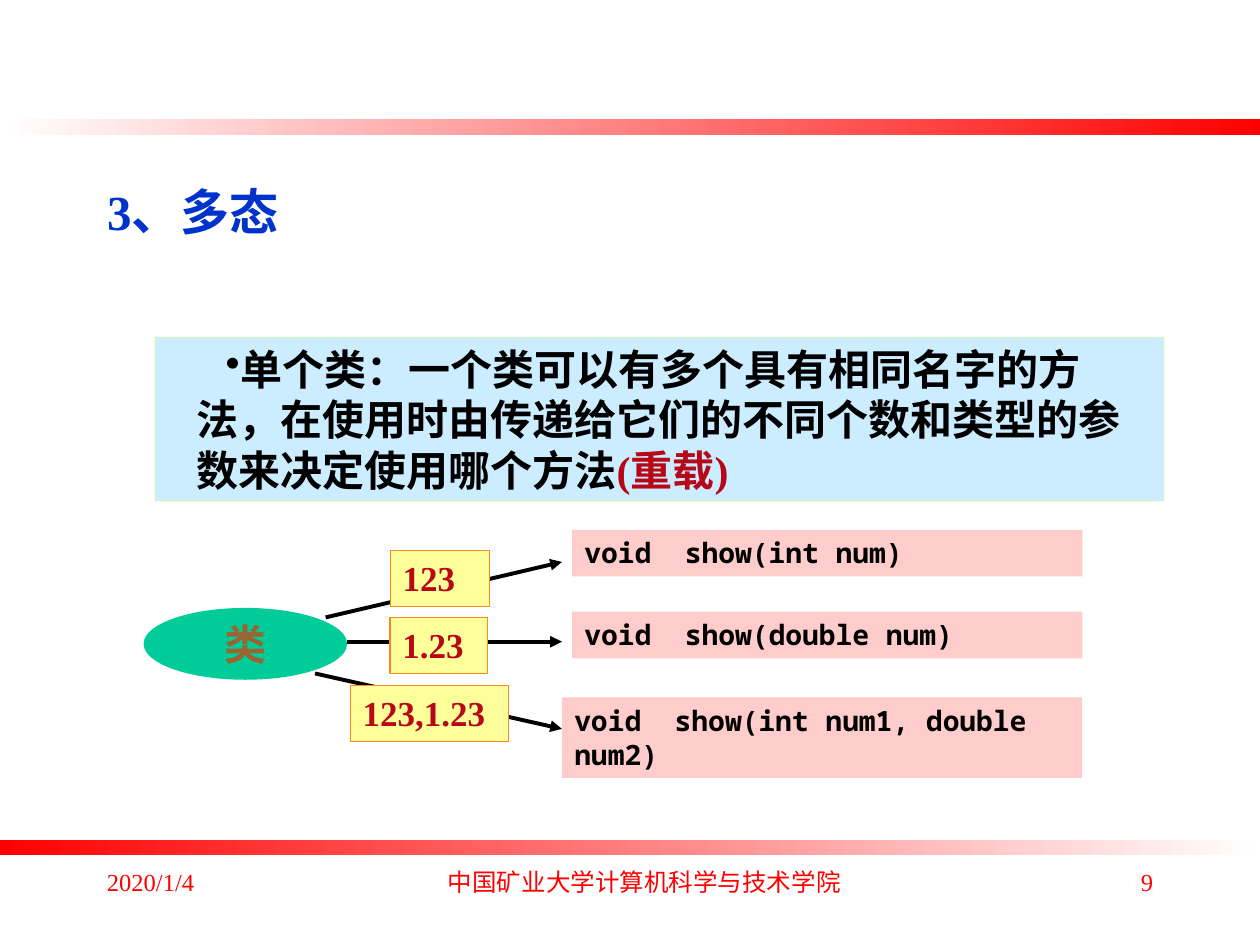
from dataclasses import dataclass

from lxml.etree import SubElement
from pptx import Presentation
from pptx.dml.color import RGBColor
from pptx.enum.shapes import MSO_CONNECTOR, MSO_SHAPE
from pptx.enum.text import MSO_ANCHOR, PP_ALIGN
from pptx.oxml.ns import qn
from pptx.util import Emu, Inches, Pt

# The slide is a grid of 100 columns by 75 rows
COLUMNS, ROWS = 100, 75
WIDTH, HEIGHT = Inches(10), Inches(7.5)

COLORS = {
    "white": "FFFFFF", "red": "FF0000", "black": "000000", "title": "0033CC",
    "panel": "CCECFF", "panel_line": "FFFFCC", "ellipse": "00CC99",
    "class_text": "996633", "method": "FFCCCC", "argument": "FFFF99",
    "argument_line": "FB881F", "accent": "B60819",
}
SERIF, SANS, MONO = "Times New Roman", "Noto Sans CJK SC", "Noto Sans Mono"


@dataclass
class Area:
    column: float
    row: float
    columns: float
    rows: float

    def place(self) -> tuple:
        return (across(self.column), down(self.row),
                across(self.columns), down(self.rows))


@dataclass
class Style:
    size: float
    color: str
    font: str = SERIF
    bold: bool = True


@dataclass
class Label:
    text: str
    area: Area


@dataclass
class Arrow:
    start: tuple
    end: tuple


def across(columns: float) -> Emu:
    return Emu(round(WIDTH * columns / COLUMNS))


def down(rows: float) -> Emu:
    return Emu(round(HEIGHT * rows / ROWS))


def rgb(name: str) -> RGBColor:
    return RGBColor.from_string(COLORS[name])


def add_run(paragraph, text: str, style: Style) -> None:
    run = paragraph.add_run()
    run.text = text
    font = run.font
    font.size, font.bold, font.name = Pt(style.size), style.bold, style.font
    font.color.rgb = rgb(style.color)
    east_asian = SubElement(run._r.get_or_add_rPr(), qn("a:ea"))
    east_asian.set("typeface", SANS)


def write(shape, text: str, style: Style, align=PP_ALIGN.LEFT,
          anchor=MSO_ANCHOR.TOP, wrap: bool = True):
    frame = shape.text_frame
    frame.word_wrap, frame.vertical_anchor = wrap, anchor
    paragraph = frame.paragraphs[0]
    paragraph.alignment = align
    add_run(paragraph, text, style)
    return paragraph


def add_block(slide, area: Area, fill: str, line: str = "",
              kind=MSO_SHAPE.RECTANGLE):
    shape = slide.shapes.add_shape(kind, *area.place())
    shape.shadow.inherit = False
    shape.fill.solid()
    shape.fill.fore_color.rgb = rgb(fill)
    if line:
        shape.line.color.rgb = rgb(line)
        shape.line.width = Pt(0.75)
    else:
        shape.line.fill.background()
    return shape


def add_bar(slide, row: float, colors: tuple) -> None:
    bar = add_block(slide, Area(0, row, COLUMNS, 1.25), "red")
    bar.fill.gradient()
    bar.fill.gradient_angle = 0
    for stop, color in zip(bar.fill.gradient_stops, colors):
        stop.color.rgb = rgb(color)


def add_arrow(slide, arrow: Arrow) -> None:
    (x1, y1), (x2, y2) = arrow.start, arrow.end
    connector = slide.shapes.add_connector(
        MSO_CONNECTOR.STRAIGHT, across(x1), down(y1), across(x2), down(y2))
    connector.line.color.rgb = rgb("black")
    connector.line.width = Pt(2.25)
    SubElement(connector.line._get_or_add_ln(), qn("a:tailEnd"), type="triangle")
    SubElement(connector._element.spPr, qn("a:effectLst"))


def add_definition(slide) -> None:
    panel = add_block(slide, Area(12.25, 26.7, 80.2, 13.1), "panel", "panel_line")
    panel.text_frame.margin_left = across(3.35)
    panel.text_frame.margin_right = across(2.5)
    paragraph = write(
        panel,
        "单个类：一个类可以有多个具有相同名字的方法，"
        "在使用时由传递给它们的不同个数和类型的参数来决定使用哪个方法",
        Style(24, "black"), anchor=MSO_ANCHOR.MIDDLE)
    properties = paragraph._p.get_or_add_pPr()
    properties.set("marL", "0")
    properties.set("indent", str(across(2.3)))
    properties.set("hangingPunct", "0")
    SubElement(properties, qn("a:buFontTx"))
    SubElement(properties, qn("a:buChar"), char="•")
    add_run(paragraph, "(重载)", Style(24, "accent"))


METHODS = [
    Label("void  show(int num)", Area(45.4, 42.05, 40.5, 3.7)),
    Label("void  show(double num)", Area(45.4, 48.55, 40.5, 3.7)),
    Label("void  show(int num1, double num2)", Area(44.6, 55.35, 41.3, 6.4)),
]
ARROWS = [
    Arrow((25.85, 49), (44.6, 44.6)),
    Arrow((25, 53.45), (44.6, 57.85)),
    Arrow((27.5, 50.93), (44.6, 50.93)),
]
ARGUMENTS = [
    Label("123", Area(30.98, 43.7, 7.85, 4.45)),
    Label("1.23", Area(30.95, 49, 7.75, 4.45)),
    Label("123,1.23", Area(27.8, 54.4, 12.55, 4.45)),
]
FOOTER = [
    (Label("2020/1/4", Area(7.5, 68.3, 20.8, 5)), PP_ALIGN.LEFT, SERIF),
    (Label("中国矿业大学计算机科学与技术学院", Area(34.15, 68.3, 34, 5)),
     PP_ALIGN.CENTER, SANS),
    (Label("9", Area(71.7, 68.3, 20.8, 5)), PP_ALIGN.RIGHT, SERIF),
]


def main() -> None:
    presentation = Presentation()
    presentation.slide_width, presentation.slide_height = WIDTH, HEIGHT
    slide = presentation.slides.add_slide(presentation.slide_layouts[5])

    # Gradient bars
    add_bar(slide, 9.45, ("white", "red"))
    add_bar(slide, 66.65, ("red", "white"))

    # Title
    title = slide.shapes.title
    title.left, title.top, title.width, title.height = Area(7.5, 13.9, 85, 7).place()
    write(title, "3、多态", Style(28, "title"))

    # Footer
    for label, align, font in FOOTER:
        box = slide.shapes.add_textbox(*label.area.place())
        write(box, label.text, Style(14, "red", font, bold=False), align)

    # Definition panel
    add_definition(slide)

    # Class, its methods and the arguments that select them
    ellipse = add_block(slide, Area(11.4, 48.25, 16.15, 5.7), "ellipse",
                        kind=MSO_SHAPE.OVAL)
    write(ellipse, "类", Style(24, "class_text"), PP_ALIGN.CENTER,
          MSO_ANCHOR.MIDDLE, wrap=False)
    for method in METHODS:
        write(add_block(slide, method.area, "method"), method.text,
              Style(16, "black", MONO))
    for arrow in ARROWS:
        add_arrow(slide, arrow)
    for argument in ARGUMENTS:
        write(add_block(slide, argument.area, "argument", "argument_line"),
              argument.text, Style(20, "accent"))

    presentation.save("out.pptx")


if __name__ == "__main__":
    main()
